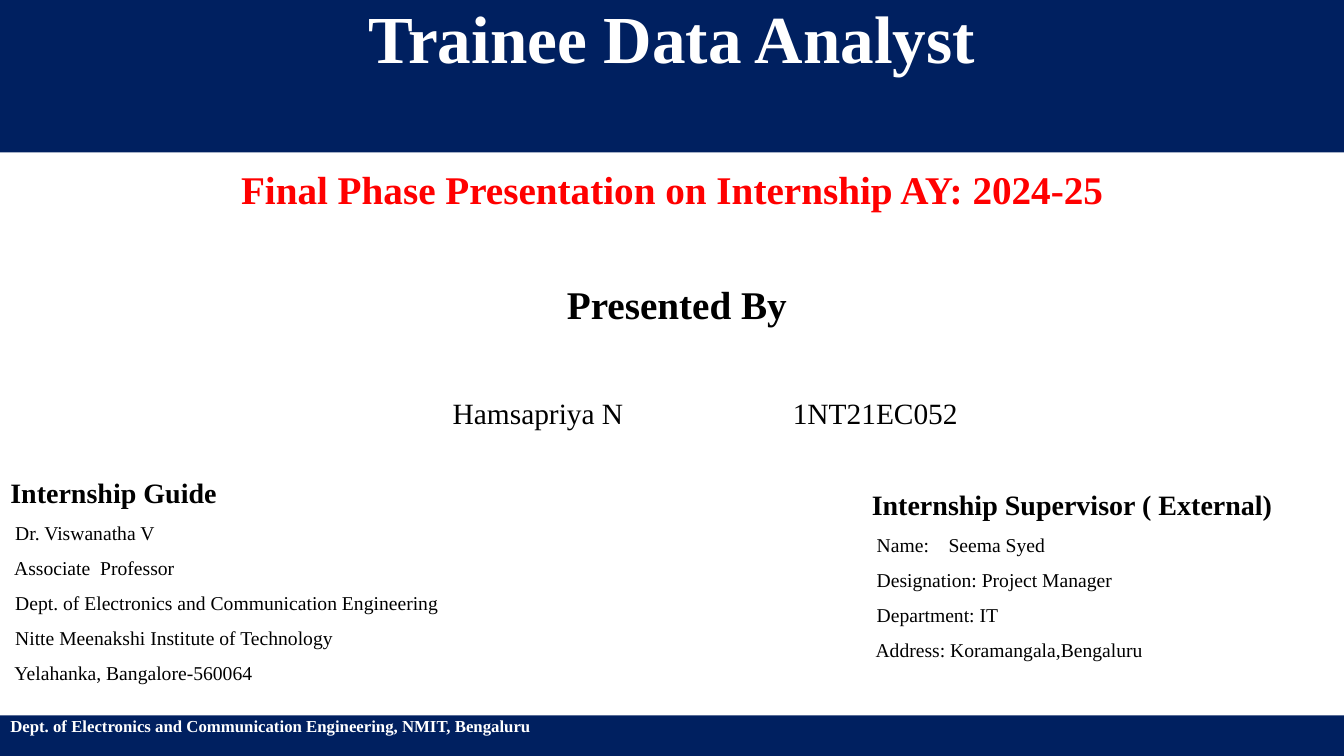
from dataclasses import dataclass

from pptx import Presentation
from pptx.dml.color import RGBColor
from pptx.enum import shapes, text
from pptx.util import Cm, Pt


@dataclass(frozen=True)
class Theme:
    """Colours, font and type sizes of the slide."""
    font: str = "Times New Roman"
    navy: str = "002060"
    white: str = "FFFFFF"
    red: str = "FF0000"
    black: str = "000000"
    title: int = 48
    headline: int = 28
    presenter: int = 21
    heading: int = 20
    detail: int = 14
    footer: int = 12


THEME = Theme()
LEFT, CENTER = text.PP_ALIGN.LEFT, text.PP_ALIGN.CENTER
TOP, MIDDLE = text.MSO_ANCHOR.TOP, text.MSO_ANCHOR.MIDDLE


def add_band(slide, box):
    """Draw a plain navy band."""
    band = slide.shapes.add_shape(shapes.MSO_SHAPE.RECTANGLE, *map(Cm, box))
    band.shadow.inherit = False
    band.fill.solid()
    band.fill.fore_color.rgb = RGBColor.from_string(THEME.navy)
    band.line.fill.background()


def add_lines(slide, box, lines, align=LEFT, anchor=TOP, gap=10):
    """Write (wording, size, colour, bold) lines as paragraphs in a box."""
    frame = slide.shapes.add_textbox(*map(Cm, box)).text_frame
    frame.word_wrap = True
    frame.vertical_anchor = anchor
    frame.margin_left = frame.margin_right = Cm(0.13)
    frame.margin_top = frame.margin_bottom = Cm(0.13)
    frame.text = "\n".join(wording for wording, *_ in lines)
    for index, (paragraph, line) in enumerate(zip(frame.paragraphs, lines)):
        _, size, colour, bold = line
        paragraph.alignment = align
        paragraph.line_spacing = 0.9
        paragraph.space_before = Pt(gap if index else 0)
        font = paragraph.runs[0].font
        font.name, font.size, font.bold = THEME.font, Pt(size), bold
        font.color.rgb = RGBColor.from_string(colour)


def add_title(slide, box):
    """Place the title at the top of its band."""
    add_band(slide, box)
    add_lines(slide, box,
              [("Trainee Data Analyst", THEME.title, THEME.white, True)], CENTER)


def add_presentation(slide, box):
    """Place the occasion and the presenter's name and number."""
    left, top, width, height = box
    add_lines(slide, (left, top, width, 3.6), [
        ("Final Phase Presentation on Internship AY: 2024-25",
         THEME.headline, THEME.red, True),
        (" Presented By", THEME.headline, THEME.black, True),
    ], CENTER, gap=52)
    for offset, wording in ((11.28, "Hamsapriya N"), (19.85, "1NT21EC052")):
        add_lines(slide, (left + offset, top + 5.75, 6, height - 5.75),
                  [(wording, THEME.presenter, THEME.black, False)])


def add_contact(slide, box, heading, details):
    """Place a bold heading over a contact's details."""
    add_lines(slide, box, [(heading, THEME.heading, THEME.black, True)] + [
        (f" {detail}", THEME.detail, THEME.black, False) for detail in details])


def add_footer(slide, box):
    """Place the department line on the bottom band."""
    left, top, width, height = box
    add_band(slide, box)
    department = "Dept. of Electronics and Communication Engineering, NMIT, Bengaluru"
    add_lines(slide, (left + 0.13, top - 0.1, width - 0.26, 0.76),
              [(department, THEME.footer, THEME.white, True)], anchor=MIDDLE)


def main():
    """Build and save the title slide."""
    deck = Presentation()
    deck.slide_width, deck.slide_height = Cm(33.87), Cm(19.05)
    slide = deck.slides.add_slide(deck.slide_layouts[6])
    add_footer(slide, (0, 18.03, 33.87, 1.02))
    add_title(slide, (0, 0, 33.87, 3.84))
    add_presentation(slide, (0, 4.17, 33.87, 6.9))
    add_contact(slide, (21.84, 12.24, 11.13, 4.47), "Internship Supervisor ( External)", [
        "Name:    Seema Syed",
        "Designation: Project Manager",
        "Department: IT",
        "Address: Koramangala,Bengaluru",
    ])
    add_contact(slide, (0.13, 11.94, 11.13, 5.77), "Internship Guide", [
        "Dr. Viswanatha V",
        "Associate  Professor",
        "Dept. of Electronics and Communication Engineering",
        "Nitte Meenakshi Institute of Technology",
        "Yelahanka, Bangalore-560064",
    ])
    deck.save("out.pptx")


if __name__ == "__main__":
    main()
